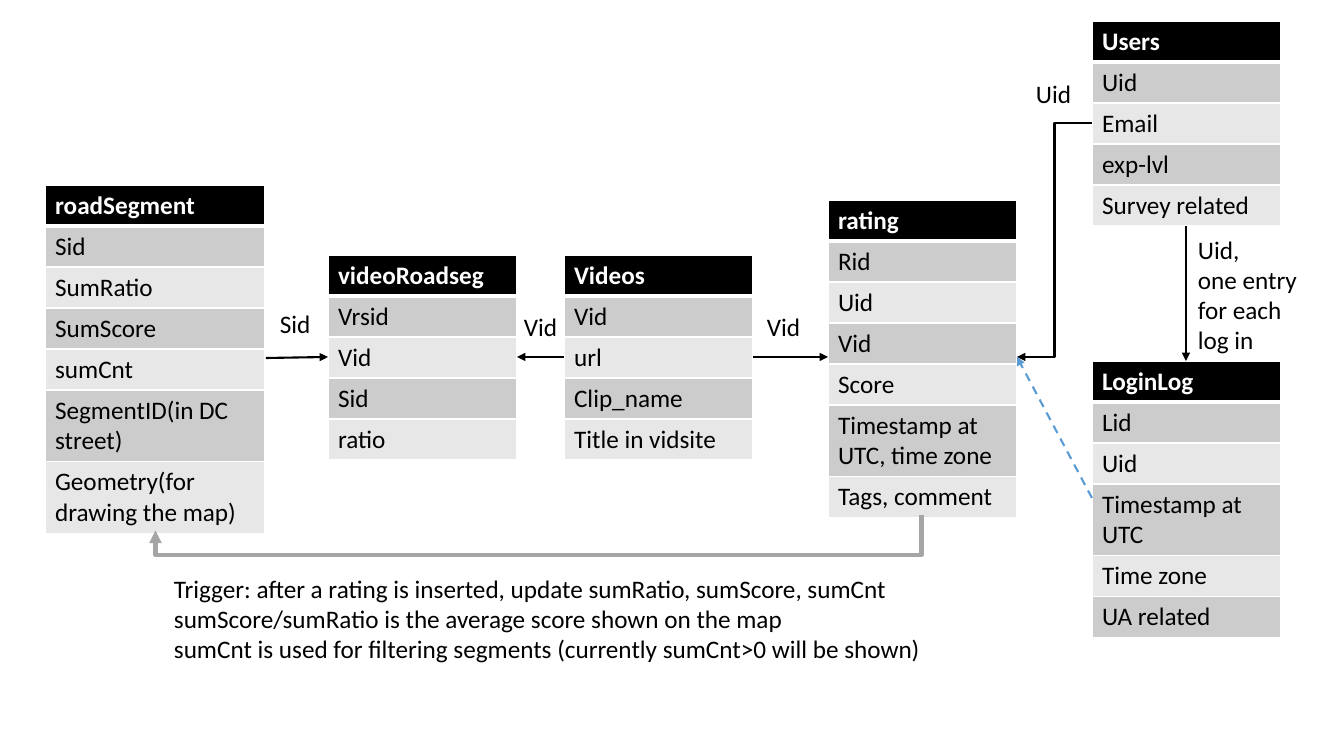
"""Build a database schema slide of linked tables."""
from lxml.etree import SubElement
from pptx import Presentation
from pptx.dml.color import RGBColor
from pptx.enum.dml import MSO_LINE
from pptx.enum.shapes import MSO_CONNECTOR as Link
from pptx.oxml import parse_xml
from pptx.oxml.ns import nsdecls, qn
from pptx.util import Pt

PX = 914400 / 100.8
BLACK = RGBColor(0, 0, 0)
WHITE = RGBColor(255, 255, 255)
DARK = RGBColor(0xCC, 0xCC, 0xCC)
LIGHT = RGBColor(0xE7, 0xE7, 0xE7)
BLUE = RGBColor(0x5B, 0x9B, 0xD5)
GRAY = RGBColor(0xA5, 0xA5, 0xA5)
ROW, TALL = 41, 71


def px(*vals):
    return [round(v * PX) for v in vals]


def style(frame, color, bold=False):
    for par in frame.paragraphs:
        par.font.name = "Calibri"
        par.font.size = Pt(18)
        par.font.bold = bold
        par.font.color.rgb = color


deck = Presentation()
deck.slide_width, deck.slide_height = px(1344, 756)
slide = deck.slides.add_slide(deck.slide_layouts[6])
shapes = slide.shapes

tables = [
    (1092, 21, 189, ["Users", "Uid", "Email", "exp-lvl", "Survey related"]),
    (1092, 361, 189, ["LoginLog", "Lid", "Uid", "Timestamp at UTC",
                      "Time zone", "UA related"]),
    (828, 200, 189, ["rating", "Rid", "Uid", "Vid", "Score",
                     "Timestamp at UTC, time zone", "Tags, comment"]),
    (564, 255, 189, ["Videos", "Vid", "url", "Clip_name", "Title in vidsite"]),
    (45, 185, 220, ["roadSegment", "Sid", "SumRatio", "SumScore", "sumCnt",
                    "SegmentID(in DC street)", "Geometry(for drawing the map)"]),
    (328, 255, 189, ["videoRoadseg", "Vrsid", "Vid", "Sid", "ratio"]),
]
for left, top, width, names in tables:
    highs = [TALL if len(name) > 15 and name != "Title in vidsite" else ROW
             for name in names]
    box = px(left, top, width, sum(highs))
    table = shapes.add_table(len(names), 1, *box).table
    for i, name in enumerate(names):
        table.rows[i].height = px(highs[i])[0]
        cell = table.cell(i, 0)
        cell.text = name
        style(cell.text_frame, BLACK if i else WHITE, i == 0)
        cell.fill.solid()
        cell.fill.fore_color.rgb = (DARK if i % 2 else LIGHT) if i else BLACK
        props = cell._tc.get_or_add_tcPr()
        for n, side in enumerate("LRTB"):
            thick = (i, side) in [(0, "B"), (1, "T")]
            props.insert(n, parse_xml(
                f'<a:ln{side} {nsdecls("a")} w="{Pt(3 if thick else 1)}">'
                f'<a:solidFill><a:srgbClr val="{WHITE}"/></a:solidFill>'
                f'</a:ln{side}>'))

links = [
    (Link.ELBOW, 1092, 123, 1017, 357, BLACK, 1.5),
    (Link.STRAIGHT, 1186, 226, 1186, 361, BLACK, 1.5),
    (Link.STRAIGHT, 753, 357, 828, 357, BLACK, 1.5),
    (Link.STRAIGHT, 564, 357, 517, 357, BLACK, 1.5),
    (Link.STRAIGHT, 266, 358, 328, 357, BLACK, 1.5),
    (Link.STRAIGHT, 1092, 498, 1017, 357, BLUE, 1.5),
    (Link.ELBOW, 531, 140, 546, 906, GRAY, 3),
]
for kind, x1, y1, x2, y2, color, width in links:
    link = shapes.add_connector(kind, *px(x1, y1, x2, y2))
    link.line.color.rgb = color
    link.line.width = Pt(width)
    if color == BLUE:
        link.line.dash_style = MSO_LINE.DASH
    props = link._element.spPr
    SubElement(props.find(qn("a:ln")), qn("a:tailEnd"), type="triangle")
    SubElement(props, qn("a:effectLst"))
    if color == GRAY:
        props.find(qn("a:xfrm")).set("rot", str(90 * 60000))
        guides = props.find(qn("a:prstGeom")).find(qn("a:avLst"))
        SubElement(guides, qn("a:gd"), name="adj1", fmla="val 264000")

labels = [
    (1026, 73, 55, 40, "Uid"),
    (1188, 229, 126, 132, "Uid,\none entry\nfor each\nlog in"),
    (757, 306, 54, 40, "Vid"),
    (514, 306, 54, 40, "Vid"),
    (270, 303, 51, 40, "Sid"),
    (164, 568, 775, 102,
     "Trigger: after a rating is inserted, update sumRatio, sumScore, sumCnt\n"
     "sumScore/sumRatio is the average score shown on the map\n"
     "sumCnt is used for filtering segments (currently sumCnt>0 will be shown)"),
]
for *box, text in labels:
    frame = shapes.add_textbox(*px(*box)).text_frame
    frame.word_wrap = len(text) > 3
    frame.text = text
    style(frame, BLACK)

deck.save("out.pptx")
